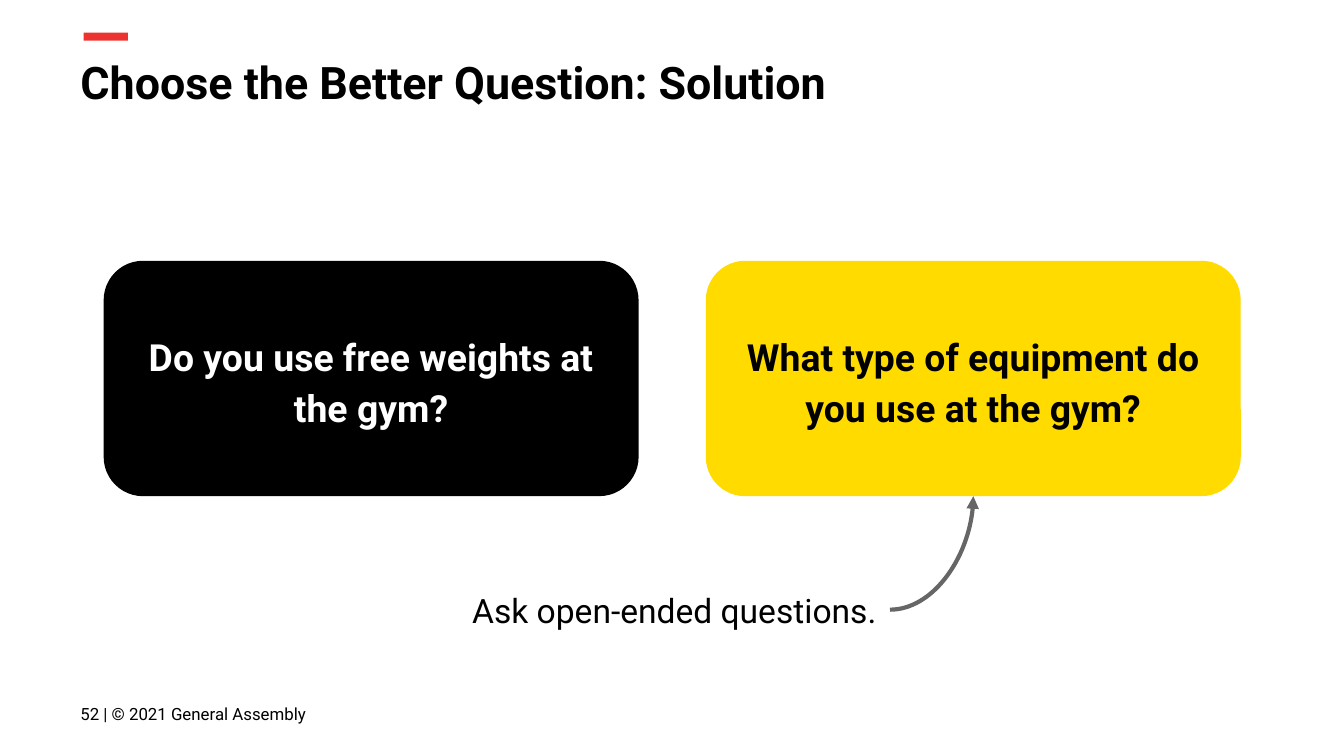
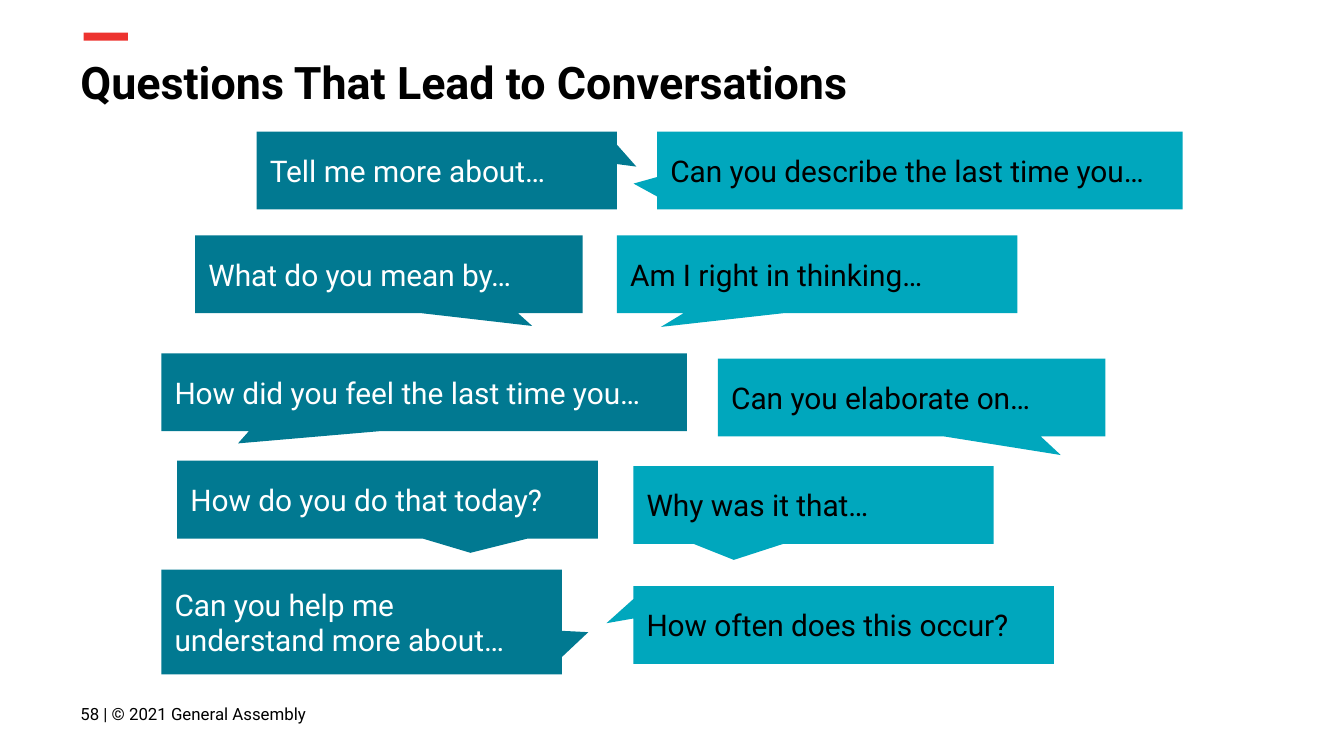
import pptx
import pptx.dml.color
import pptx.enum.shapes
import pptx.enum.text
import pptx.oxml
import pptx.oxml.ns
import pptx.util

Cm, Pt = pptx.util.Cm, pptx.util.Pt
KIND = pptx.enum.shapes.MSO_SHAPE
ALIGN = pptx.enum.text.PP_ALIGN
MID = pptx.enum.text.MSO_ANCHOR.MIDDLE
TOP = pptx.enum.text.MSO_ANCHOR.TOP

BLACK, WHITE, RED = "000000", "FFFFFF", "ED332F"
YELLOW, GREY, TEAL, AQUA = "FFDB00", "666666", "017991", "00A7BD"

# Text styles: values for the frame, the paragraph and the font
STYLES = {
    "title": ({"vertical_anchor": TOP}, {"alignment": ALIGN.LEFT},
              {"size": Pt(24), "bold": True}),
    "foot": ({"vertical_anchor": MID}, {"alignment": ALIGN.LEFT},
             {"size": Pt(9)}),
    "card": ({"vertical_anchor": MID},
             {"alignment": ALIGN.CENTER, "line_spacing": 1.15},
             {"size": Pt(20), "bold": True}),
    "note": ({"vertical_anchor": MID}, {"alignment": ALIGN.RIGHT},
             {"size": Pt(18)}),
    "talk": ({"vertical_anchor": MID}, {"alignment": ALIGN.LEFT},
             {"size": Pt(16)}),
}
INSET = {"margin_" + side: Cm(0.25)
         for side in ("left", "top", "right", "bottom")}


def rgb(code):
    return pptx.dml.color.RGBColor.from_string(code)


def apply(part, values):
    for name, value in values.items():
        setattr(part, name, value)


def write(shape, text, style, ink=BLACK):
    edge, para, font = STYLES[style]
    frame = shape.text_frame
    apply(frame, {"word_wrap": True, **INSET, **edge})
    line = frame.paragraphs[0]
    line.text = text
    apply(line, para)
    apply(line.runs[0].font, {"name": "Roboto", **font})
    line.runs[0].font.color.rgb = rgb(ink)


def label(slide, box, text, style):
    shape = slide.shapes.add_textbox(*map(Cm, box))
    write(shape, text, style)
    return shape


def block(slide, kind, box, fill, turns=()):
    shape = slide.shapes.add_shape(kind, *map(Cm, box))
    shape.shadow.inherit = False
    shape.fill.solid()
    shape.fill.fore_color.rgb = rgb(fill)
    shape.line.fill.background()
    for i, value in enumerate(turns):
        shape.adjustments[i] = value
    return shape


# Curved arrow from the right side of one shape to the foot of another
def arrow(slide, start, goal):
    link = slide.shapes.add_connector(
        pptx.enum.shapes.MSO_CONNECTOR.CURVE, 0, 0, 0, 0)
    link.begin_connect(start, 3)
    link.end_connect(goal, 2)
    link.line.color.rgb = rgb(GREY)
    link.line.width = Pt(2.25)
    props = link._element.spPr
    props.find(pptx.oxml.ns.qn("a:prstGeom")).set("prst", "curvedConnector2")
    space = pptx.oxml.ns.nsdecls("a")
    props.find(pptx.oxml.ns.qn("a:ln")).append(
        pptx.oxml.parse_xml(f'<a:tailEnd {space} type="triangle"/>'))
    props.append(pptx.oxml.parse_xml(f"<a:effectLst {space}/>"))


# Red bar, title and footer shared by the slides
def base(deck, title, page):
    slide = deck.slides.add_slide(deck.slide_layouts[6])
    block(slide, KIND.RECTANGLE, (1.58, 0.62, 0.84, 0.15), RED)
    label(slide, (1.27, 0.79, 23.67, 1.6), title, "title")
    label(slide, (1.27, 12.95, 6.58, 1.09),
          f"{page} | © 2021 General Assembly", "foot")
    return slide


# Two cards side by side, with a note pointing to the second
def cards(slide, box, items, note):
    left, top, width, height = box
    gap = 1.27
    wide = (width - gap) / 2
    for i, (text, fill, ink) in enumerate(items):
        spot = (left + i * (wide + gap), top, wide, height)
        card = block(slide, KIND.ROUNDED_RECTANGLE, spot, fill, (0.167,))
        write(card, text, "card", ink)
    hint = label(slide, (left + 6.63, top + 5.53, 8.23, 2.13), note, "note")
    arrow(slide, hint, card)


# Speech bubbles: x and y from the corner, width, lines, tip, words
def talk(slide, corner, items, fill, ink):
    left, top = corner
    for x, y, wide, lines, tip, text in items:
        spot = (left + x, top + y, wide, 0.96 + 0.51 * lines)
        shape = block(slide, KIND.ROUNDED_RECTANGULAR_CALLOUT, spot, fill,
                      (*tip, 0))
        write(shape, text, "talk", ink)


PAIR = [
    ("Do you use free weights at the gym?", BLACK, WHITE),
    ("What type of equipment do you use at the gym?", YELLOW, BLACK),
]
NEAR = [
    (1.8, 0, 6.81, 1, (0.554, -0.051), "Tell me more about…"),
    (0.64, 1.96, 7.32, 1, (0.37, 0.665), "What do you mean by…"),
    (0, 4.19, 9.93, 1, (-0.354, 0.658), "How did you feel the last time you…"),
    (0.3, 6.22, 7.95, 1, (0.197, 0.684), "How do you do that today?"),
    (0, 8.28, 7.57, 2, (0.566, 0.096), "Can you help me understand more about…"),
]
FAR = [
    (0.76, 0, 9.93, 1, (-0.545, 0.168), "Can you describe the last time you…"),
    (0, 1.96, 7.57, 1, (-0.39, 0.677), "Am I right in thinking…"),
    (1.91, 4.29, 7.32, 1, (0.385, 0.74), "Can you elaborate on…"),
    (0.31, 6.32, 6.81, 1, (-0.221, 0.707), "Why was it that…"),
    (0.31, 8.59, 7.95, 1, (-0.564, -0.023), "How often does this occur?"),
]


def main():
    deck = pptx.Presentation()
    deck.slide_width, deck.slide_height = Cm(25.4), Cm(14.29)

    slide = base(deck, "Choose the Better Question: Solution", 52)
    cards(slide, (1.96, 4.93, 21.49, 4.45), PAIR, "Ask open-ended questions.")

    slide = base(deck, "Questions That Lead to Conversations", 58)
    talk(slide, (3.05, 2.49), NEAR, TEAL, WHITE)
    talk(slide, (11.66, 2.49), FAR, AQUA, BLACK)

    deck.save("out.pptx")


if __name__ == "__main__":
    main()
